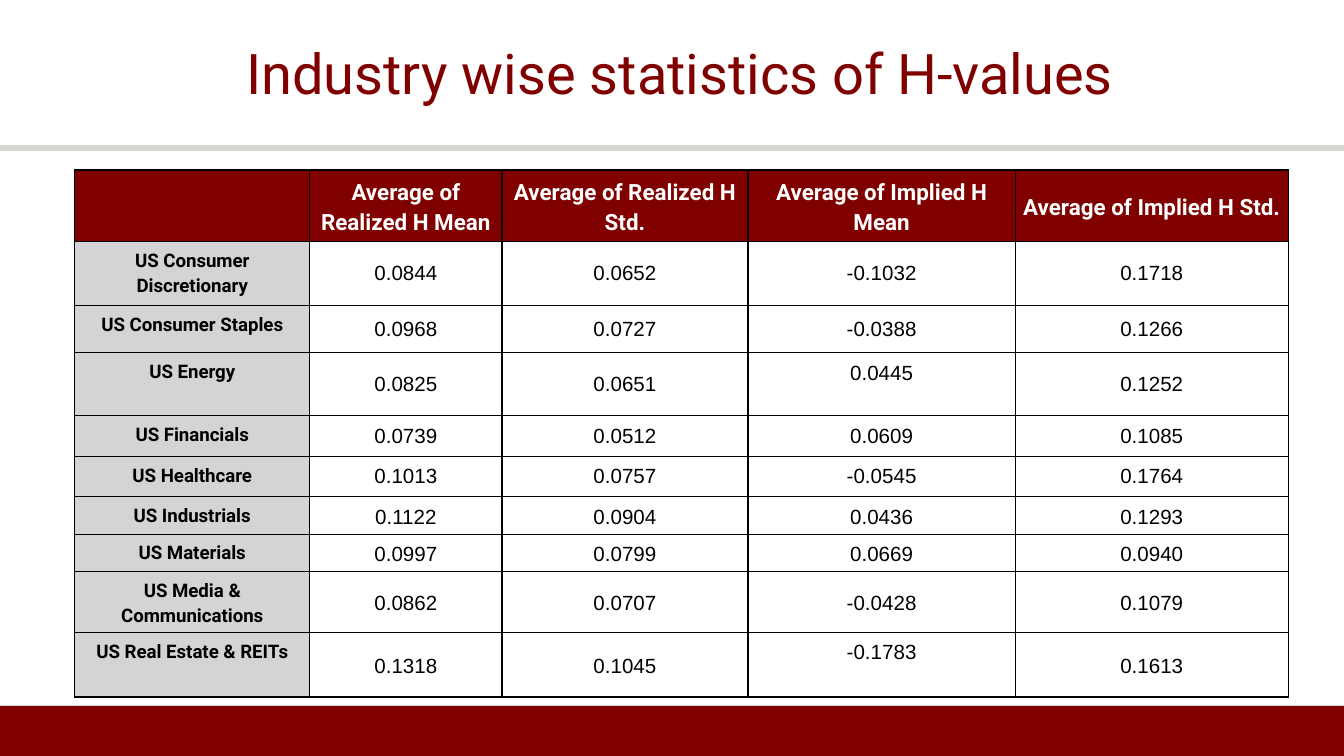
import dataclasses
import typing

import lxml.etree
import pptx
import pptx.dml.color
import pptx.enum.shapes
import pptx.enum.text
import pptx.oxml.ns
import pptx.util

GRID_COLUMNS = 1000
GRID_ROWS = GRID_COLUMNS * 9 / 16
FOOTER_ROW = 525
MAROON, SILVER, LABEL_GREY = "800000", "D6D6CE", "D4D4D4"
WHITE, BLACK = "FFFFFF", "000000"
MIDDLE = pptx.enum.text.MSO_ANCHOR.MIDDLE
TOP = pptx.enum.text.MSO_ANCHOR.TOP

presentation = pptx.Presentation()
presentation.slide_width = pptx.util.Inches(10)
presentation.slide_height = presentation.slide_width * 9 // 16


@dataclasses.dataclass(frozen=True)
class TextStyle:
    size: float
    font: str
    colour: str
    bold: bool = False
    spacing: float = 1.0


@dataclasses.dataclass(frozen=True)
class Industry:
    name: str
    height: int
    values: tuple[str, str, str, str]
    spacing: float = 1.0
    implied_mean_at_top: bool = False


TITLE = TextStyle(30, "Roboto", MAROON, spacing=0.9)
HEADING = TextStyle(12, "Roboto", WHITE, True, 1.15)
LABEL = TextStyle(10, "Roboto", BLACK, True, 1.15)

HEADINGS = (
    "",
    "Average of Realized H Mean",
    "Average of Realized H Std.",
    "Average of Implied H Mean",
    "Average of Implied H Std.",
)
COLUMN_WIDTHS = (175, 143, 183, 199, 203)
HEADING_HEIGHT = 53
INDUSTRIES = (
    Industry("US Consumer Discretionary", 48, ("0.0844", "0.0652", "-0.1032", "0.1718")),
    Industry("US Consumer Staples", 35, ("0.0968", "0.0727", "-0.0388", "0.1266")),
    Industry("US Energy", 47, ("0.0825", "0.0651", "0.0445", "0.1252"), 1.0, True),
    Industry("US Financials", 30, ("0.0739", "0.0512", "0.0609", "0.1085")),
    Industry("US Healthcare", 30, ("0.1013", "0.0757", "-0.0545", "0.1764")),
    Industry("US Industrials", 28, ("0.1122", "0.0904", "0.0436", "0.1293"), 1.15),
    Industry("US Materials", 28, ("0.0997", "0.0799", "0.0669", "0.0940"), 1.15),
    Industry("US Media & Communications", 45, ("0.0862", "0.0707", "-0.0428", "0.1079"), 1.15),
    Industry("US Real Estate & REITs", 48, ("0.1318", "0.1045", "-0.1783", "0.1613"), 1.15, True),
)


def across(columns: float) -> int:
    return round(presentation.slide_width * columns / GRID_COLUMNS)


def down(rows: float) -> int:
    return round(presentation.slide_height * rows / GRID_ROWS)


def colour_of(value: str) -> pptx.dml.color.RGBColor:
    return pptx.dml.color.RGBColor.from_string(value)


def write(paragraph: typing.Any, text: str, style: TextStyle) -> None:
    paragraph.alignment = pptx.enum.text.PP_ALIGN.CENTER
    paragraph.line_spacing = style.spacing
    run = paragraph.add_run()
    run.text = text
    run.font.size = pptx.util.Pt(style.size)
    run.font.name = style.font
    run.font.bold = style.bold
    run.font.color.rgb = colour_of(style.colour)


def draw_rule(slide: typing.Any, row: float, weight: float) -> None:
    rule = slide.shapes.add_connector(
        pptx.enum.shapes.MSO_CONNECTOR.STRAIGHT, 0, down(row), across(GRID_COLUMNS), down(row)
    )
    rule.line.color.rgb = colour_of(SILVER)
    rule.line.width = pptx.util.Pt(weight)
    lxml.etree.SubElement(rule._element.spPr, pptx.oxml.ns.qn("a:effectLst"))


def draw_footer(slide: typing.Any) -> None:
    footer = slide.shapes.add_shape(
        pptx.enum.shapes.MSO_SHAPE.RECTANGLE,
        0, down(FOOTER_ROW), across(GRID_COLUMNS), down(GRID_ROWS - FOOTER_ROW),
    )
    footer.shadow.inherit = False
    footer.fill.solid()
    footer.fill.fore_color.rgb = colour_of(MAROON)
    footer.line.fill.background()
    draw_rule(slide, FOOTER_ROW, 0.75)


def draw_title(slide: typing.Any) -> None:
    title = slide.shapes.title
    title.left, title.top = 0, 0
    title.width, title.height = across(GRID_COLUMNS), down(113)
    frame = title.text_frame
    frame.auto_size = pptx.enum.text.MSO_AUTO_SIZE.NONE
    frame.word_wrap = True
    frame.vertical_anchor = MIDDLE
    frame.margin_left = frame.margin_right = 0
    frame.margin_top = frame.margin_bottom = down(5)
    paragraph = frame.paragraphs[0]
    write(paragraph, "Industry wise statistics of H-values", TITLE)
    properties = paragraph._p.get_or_add_pPr()
    properties.set("marL", str(across(12)))
    properties.set("indent", "0")


def draw_borders(cell: typing.Any) -> None:
    properties = cell._tc.get_or_add_tcPr()
    for side in ("lnL", "lnR", "lnT", "lnB"):
        border = lxml.etree.SubElement(properties, pptx.oxml.ns.qn(f"a:{side}"))
        border.set("w", str(pptx.util.Pt(0.75)))
        fill = lxml.etree.SubElement(border, pptx.oxml.ns.qn("a:solidFill"))
        lxml.etree.SubElement(fill, pptx.oxml.ns.qn("a:srgbClr")).set("val", BLACK)


def fill_cell(
    cell: typing.Any,
    text: str,
    style: TextStyle,
    fill: str | None = None,
    anchor: typing.Any = MIDDLE,
    side_margin: int = 4,
) -> None:
    draw_borders(cell)
    if fill:
        cell.fill.solid()
        cell.fill.fore_color.rgb = colour_of(fill)
    else:
        cell.fill.background()
    cell.margin_left = cell.margin_right = across(side_margin)
    cell.margin_top = cell.margin_bottom = down(4)
    cell.vertical_anchor = anchor
    if text:
        write(cell.text_frame.paragraphs[0], text, style)


def draw_statistics(slide: typing.Any) -> None:
    heights = (HEADING_HEIGHT, *(industry.height for industry in INDUSTRIES))
    table = slide.shapes.add_table(
        len(heights), len(COLUMN_WIDTHS),
        across(55.5), down(126.5), across(sum(COLUMN_WIDTHS)), down(sum(heights)),
    ).table
    table.first_row = table.horz_banding = False
    for column, width in zip(table.columns, COLUMN_WIDTHS):
        column.width = across(width)
    for row, height in zip(table.rows, heights):
        row.height = down(height)
    for column, heading in enumerate(HEADINGS):
        fill_cell(table.cell(0, column), heading, HEADING, MAROON)
    for row, industry in enumerate(INDUSTRIES, start=1):
        fill_cell(table.cell(row, 0), industry.name, LABEL, LABEL_GREY, TOP)
        for column, value in enumerate(industry.values, start=1):
            raised = industry.implied_mean_at_top and column == 3
            style = TextStyle(11, "Arial", BLACK, spacing=1.15 if raised else industry.spacing)
            fill_cell(
                table.cell(row, column), value, style,
                anchor=TOP if raised else MIDDLE, side_margin=8 if raised else 4,
            )


def main() -> None:
    slide = presentation.slides.add_slide(presentation.slide_layouts[5])
    draw_rule(slide, 110, 3)
    draw_footer(slide)
    draw_title(slide)
    draw_statistics(slide)
    presentation.save("out.pptx")


if __name__ == "__main__":
    main()
